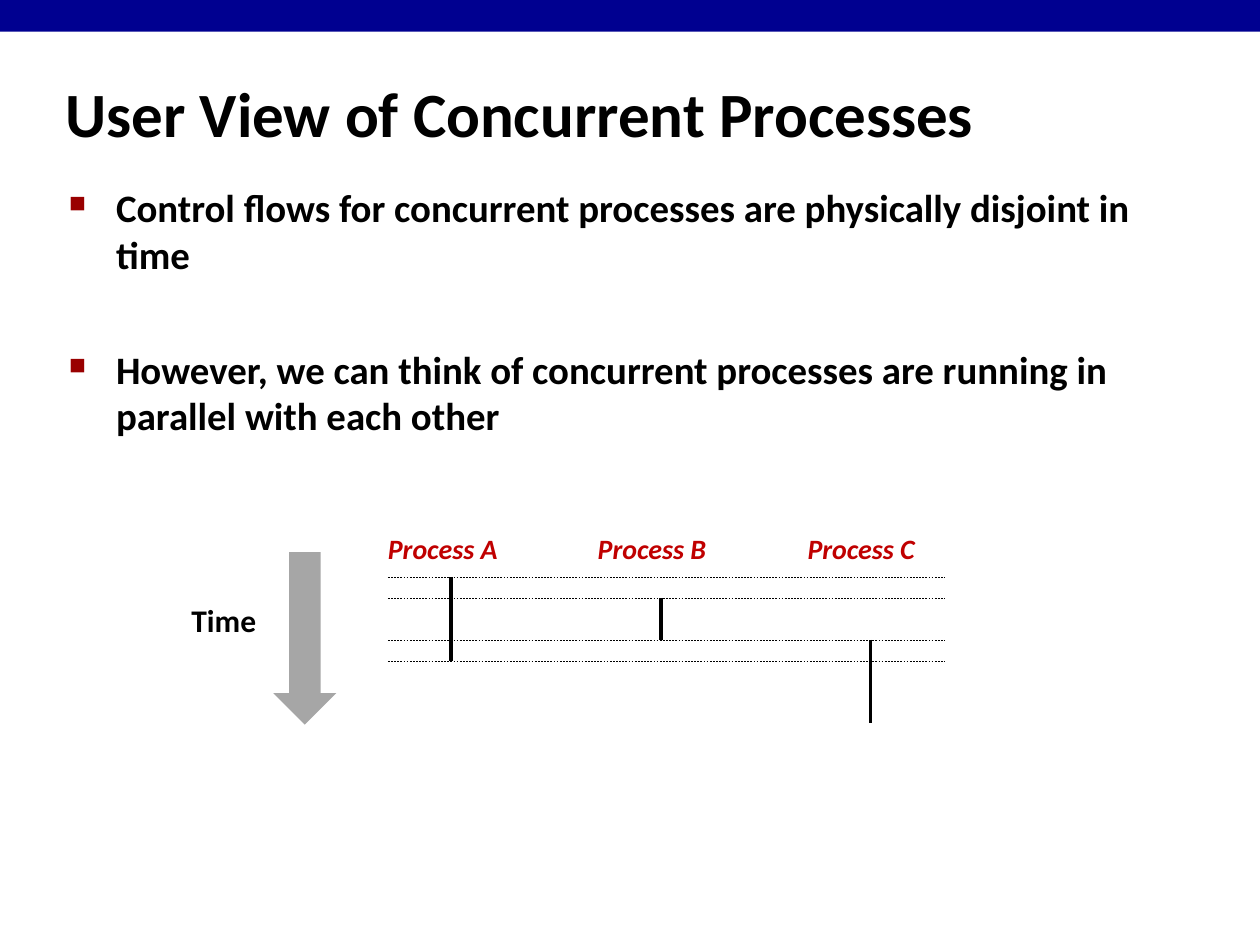
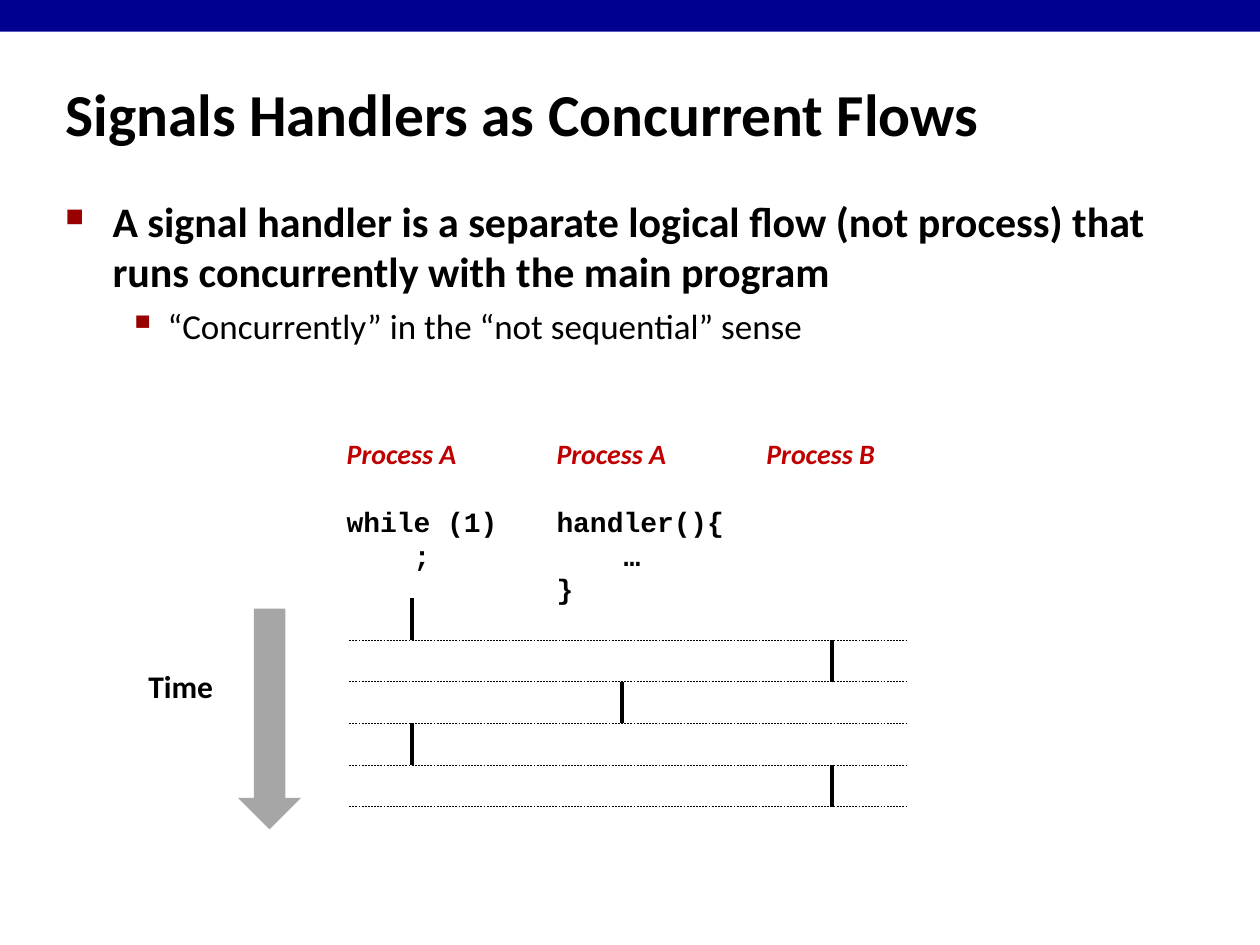
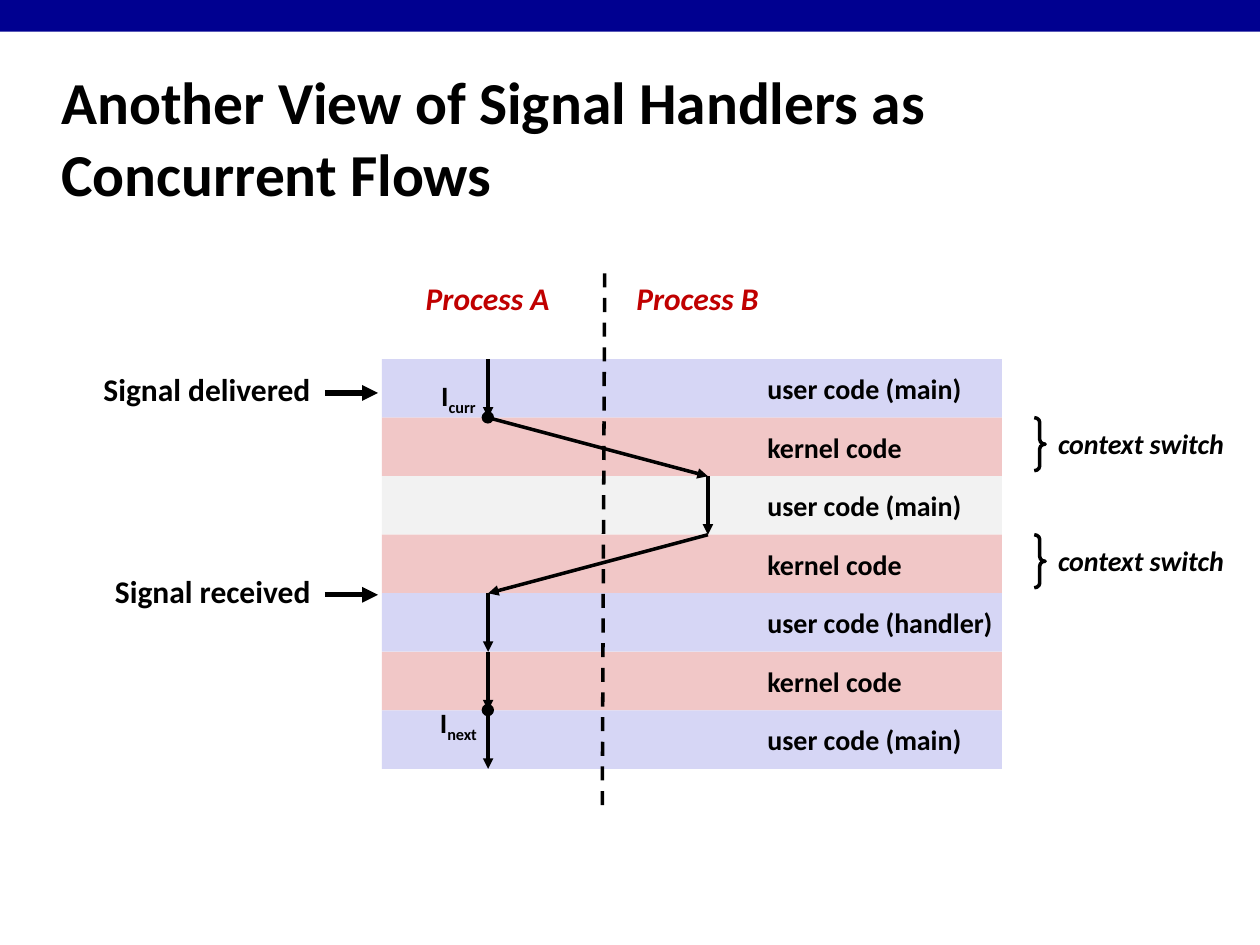
from lxml import etree
from pptx import Presentation
from pptx.dml.color import RGBColor
from pptx.enum.dml import MSO_LINE
from pptx.enum.shapes import MSO_CONNECTOR, MSO_SHAPE as KIND
from pptx.enum.text import MSO_ANCHOR as ANC, PP_ALIGN as AL
from pptx.oxml.ns import qn
from pptx.util import Cm, Pt

WIDE, HIGH = 25.4, 19.05
NAVY, BLACK, RED, GREY = "000090", "000000", "C00000", "A6A6A6"
BLUE, PINK, PALE, MARK = "D6D6F5", "F1C7C7", "F2F2F2", "990000"
LANE, HALF, ROW = 4.23, 0.42, 1.18
NAME = dict(color=RED, ital=True)


def hue(code):
    """Turn a hex string into a colour."""
    return RGBColor.from_string(code)


def shape(s, kind, x, y, w, h, fill=None):
    """Add a flat preset shape without outline."""
    item = s.shapes.add_shape(kind, Cm(x), Cm(y), Cm(w), Cm(h))
    item.shadow.inherit = False
    item.line.fill.background()
    if fill:
        item.fill.solid()
        item.fill.fore_color.rgb = hue(fill)
    else:
        item.fill.background()
    return item


def line(s, x1, y1, x2, y2, width=2, dash=False, head=False):
    """Draw a straight black line, dashed or with an arrowhead at will."""
    item = s.shapes.add_connector(
        MSO_CONNECTOR.STRAIGHT, Cm(x1), Cm(y1), Cm(x2), Cm(y2))
    item.line.color.rgb = hue(BLACK)
    item.line.width = Pt(width)
    if dash:
        item.line.dash_style = MSO_LINE.DASH
    prop = item.element.spPr
    if head:
        etree.SubElement(prop.find(qn("a:ln")), qn("a:tailEnd"), type="triangle")
    etree.SubElement(prop, qn("a:effectLst"))


def frame(s, x, y, w, h, pad=0.25, anchor=ANC.TOP):
    """Add a wrapping text box and return its frame."""
    tf = s.shapes.add_textbox(Cm(x), Cm(y), Cm(w), Cm(h)).text_frame
    tf.word_wrap = True
    tf.vertical_anchor = anchor
    tf.margin_left = tf.margin_right = Cm(pad)
    tf.margin_top = tf.margin_bottom = Cm(0.13)
    return tf


def bullet(para, char, scale, left, hang):
    """Give a paragraph a coloured bullet and a hanging indent."""
    prop = para._p.get_or_add_pPr()
    prop.set("marL", str(Cm(left)))
    prop.set("indent", str(-Cm(hang)))
    tint = etree.SubElement(prop, qn("a:buClr"))
    etree.SubElement(tint, qn("a:srgbClr"), val=MARK)
    etree.SubElement(prop, qn("a:buSzPct"), val=str(scale * 1000))
    etree.SubElement(prop, qn("a:buChar"), char=char)


def say(tf, text, size=16, color=BLACK, bold=True, ital=False, font="Calibri",
        align=AL.LEFT, gap=0, space=None, mark=None, level=0, sub=""):
    """Add a paragraph with its format and an optional subscript."""
    para = tf.paragraphs[0]
    if para.runs:
        para = tf.add_paragraph()
    if mark:
        bullet(para, *mark)
    para.level = level
    para.alignment = align
    if gap:
        para.space_before = Pt(gap)
    if space:
        para.line_spacing = space
    for part in filter(None, (text, sub)):
        run = para.add_run()
        run.text = part
        face = run.font
        face.size, face.bold, face.italic, face.name = Pt(size), bold, ital, font
        face.color.rgb = hue(color)
    if sub:
        run._r.get_or_add_rPr().set("baseline", "-25000")


def page(deck, title, x, y, w, h, size=34):
    """Start a slide with the top band and its title."""
    s = deck.slides.add_slide(deck.slide_layouts[6])
    shape(s, KIND.RECTANGLE, 0, 0, WIDE, 0.64, NAVY)
    say(frame(s, x, y, w, h, anchor=ANC.MIDDLE), title, size)
    return s


def clock(s, x, y, h, left, top):
    """Place the time arrow and its label."""
    shape(s, KIND.DOWN_ARROW, x, y, 1.27, h, GREY)
    say(frame(s, left, top, 2.26, 1.02), "Time", 18)


def lanes(s, x, y, rules, bars):
    """Draw dashed rules and the bars of each lane, counted in half steps."""
    for step in rules:
        at = y + step * HALF
        line(s, x, at, x + 11.22, at, 0.25, dash=True)
    for lane, start in bars:
        at, top = x + 1.27 + lane * LANE, y + start * HALF
        line(s, at, top, at, top + 2 * HALF)


def heads(s, x, y, names, codes):
    """Write the process names with the code below each."""
    for i, (name, code) in enumerate(zip(names, codes)):
        width = max([3] + [0.7 + 0.35 * len(row) for row in code])
        tf = frame(s, x + i * LANE, y, width, 0.94 + 0.68 * len(code))
        say(tf, name, **NAME)
        for k, row in enumerate(code):
            say(tf, row, font="Courier New", gap=0 if k else 19.5, space=Pt(19.2))


def bands(s, x, y):
    """Stack the code bands with their labels."""
    main, kern = "user code (main)", "kernel code"
    rows = [(main, BLUE), (kern, PINK), (main, PALE), (kern, PINK),
            ("user code (handler)", BLUE), (kern, PINK), (main, BLUE)]
    wide = {main: 4.6, kern: 3.4}
    for i, (name, fill) in enumerate(rows):
        top = y + i * ROW
        shape(s, KIND.RECTANGLE, x, top, 12.5, ROW, fill)
        say(frame(s, x + 7.52, top + 0.12, wide.get(name, 5.3), 0.94), name)


def route(s, x, y):
    """Trace the control flow between the two processes."""
    line(s, x + 4.49, y - 1.73, x + 4.44, y + 9.19, dash=True)
    for left, name in ((0.53, "Process A"), (4.76, "Process B")):
        say(frame(s, x + left, y - 1.75, 3.2, 1.02), name, 18, align=AL.CENTER, **NAME)
    spots = [(x + (2.14 if side == "A" else 6.57), y + i * ROW)
             for i, side in enumerate("AABBAAAA")]
    for start, end in zip(spots, spots[1:]):
        line(s, *start, *end, head=True)
    for i, top, sub in ((1, 0.28, "curr"), (6, 6.86, "next")):
        at, mid = spots[i]
        shape(s, KIND.OVAL, at - 0.13, mid - 0.13, 0.25, 0.25, BLACK)
        say(frame(s, x + 0.84, y + top, 1.4, 0.97, pad=0.13), "I", sub=sub,
            align=AL.CENTER, space=0.9)


def notes(s, x, y):
    """Add signal arrows at the left and braces at the right."""
    for name, wide, mid in (("Signal delivered", 4.65, 0.68),
                            ("Signal received", 4.42, 4.75)):
        say(frame(s, x - 1.2 - wide, y + mid - 0.5, wide, 0.94, pad=0.13), name, 18,
            align=AL.CENTER, space=0.9)
        line(s, x - 1.15, y + mid, x - 0.08, y + mid, 3, head=True)
    for row in (1, 3):
        top = y + row * ROW
        brace = shape(s, KIND.RIGHT_BRACE, x + 13.15, top, 0.22, 1.07)
        brace.adjustments[0] = 0.43
        brace.line.color.rgb = hue(BLACK)
        brace.line.width = Pt(2)
        say(frame(s, x + 13.38, top + 0.05, 4.1, 0.94), "context switch", ital=True)


def main():
    """Build the three slides."""
    deck = Presentation()
    deck.slide_width, deck.slide_height = Cm(WIDE), Cm(HIGH)
    mark = ("■", 60, 0.95, 0.95)

    s = page(deck, "User View of Concurrent Processes", 1.07, 1.47, 23.5, 1.6, 36)
    tf = frame(s, 1.14, 3.58, 21.95, 5.54)
    say(tf, "Control flows for concurrent processes are physically disjoint in time",
        22.2, mark=mark)
    say(tf, "However, we can think of concurrent processes are running in parallel "
        "with each other", 22.2, mark=mark, gap=39)
    clock(s, 5.51, 11.13, 3.48, 3.61, 11.99)
    heads(s, 7.57, 10.59, ("Process A", "Process B", "Process C"), ([], [], []))
    lanes(s, 7.82, 11.64, (0, 1, 3, 4), ((0, 0), (0, 2), (1, 1), (2, 3), (2, 5)))

    s = page(deck, "Signals Handlers as Concurrent Flows", 1.07, 1.22, 21.08, 2.11)
    tf = frame(s, 1.07, 3.81, 23.09, 3.61)
    say(tf, "A signal handler is a separate logical flow (not process) that runs "
        "concurrently with the main program", 24, mark=mark)
    say(tf, "“Concurrently” in the “not sequential” sense", 20, bold=False,
        mark=("▪", 110, 2.06, 0.79), level=1, gap=5)
    clock(s, 4.8, 12.27, 4.45, 2.74, 13.31)
    heads(s, 6.74, 8.68, ("Process A", "Process A", "Process B"),
          (["while (1)", "    ;"], ["handler(){", "    …", "}"], []))
    lanes(s, 7.04, 12.06, range(2, 11, 2), ((0, 0), (2, 2), (1, 4), (0, 6), (2, 8)))

    s = page(deck, "Another View of Signal Handlers as Concurrent Flows",
             0.99, 1.7, 21.08, 2.11)
    for part in (bands, route, notes):
        part(s, 7.7, 7.24)
    deck.save("out.pptx")


if __name__ == "__main__":
    main()
